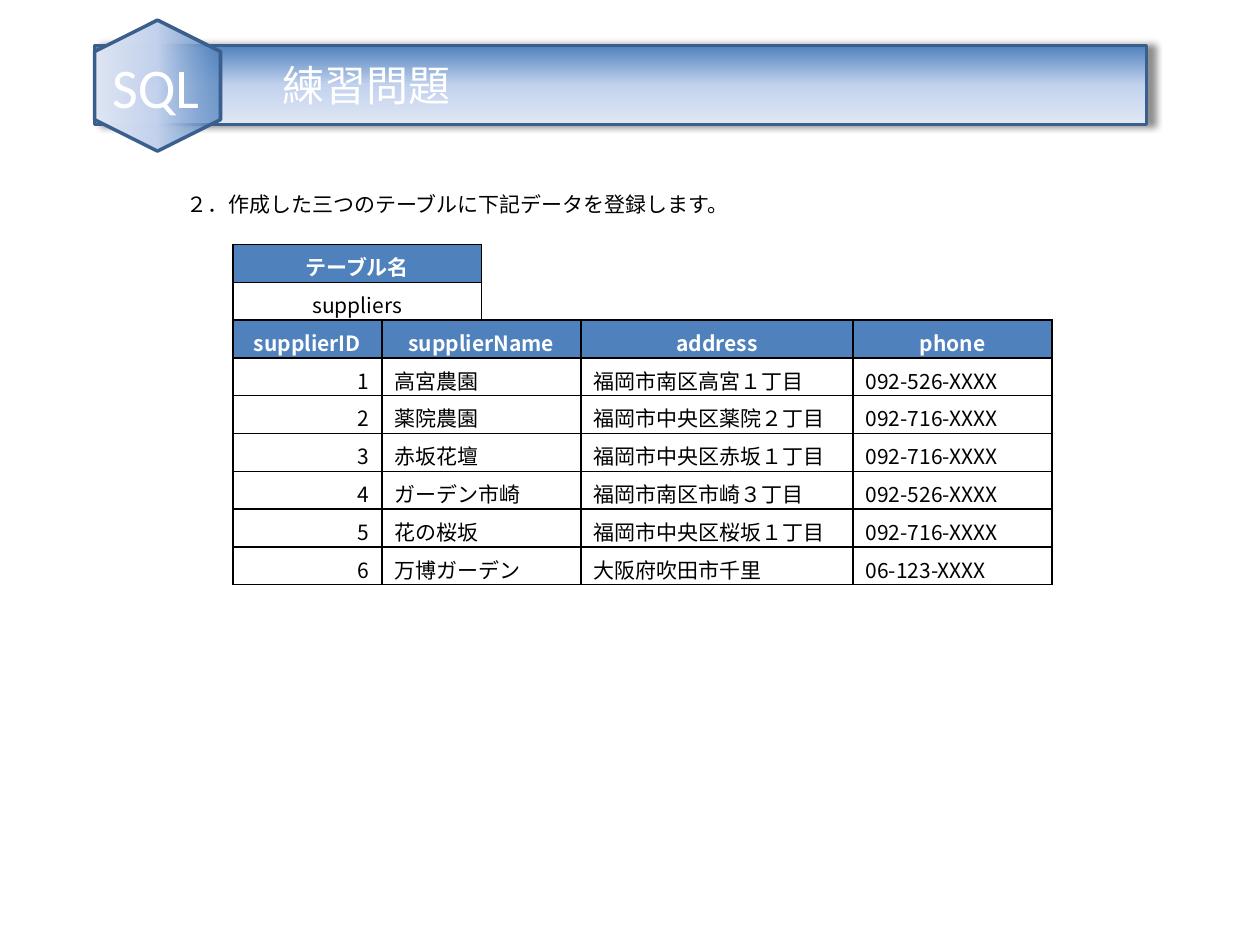
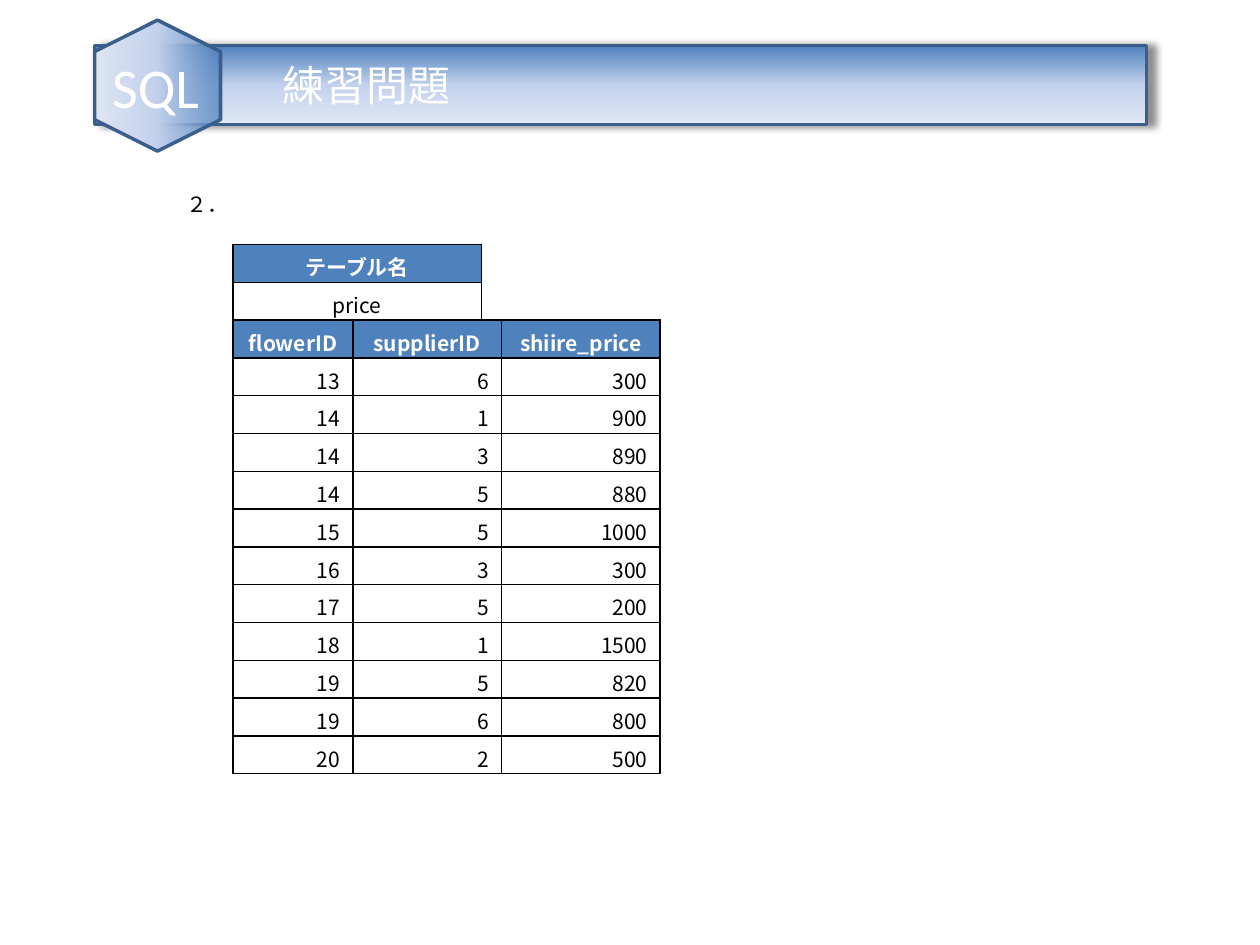
from pptx import Presentation
from pptx.dml.color import RGBColor
from pptx.enum.shapes import MSO_SHAPE
from pptx.enum.text import MSO_ANCHOR, MSO_AUTO_SIZE, PP_ALIGN
from pptx.oxml import parse_xml
from pptx.oxml.ns import nsdecls
from pptx.util import Inches, Pt

TITLE = "練習問題"
BADGE = "SQL"
NAME_HEADING = "テーブル名"
EXERCISES = [
    {
        "prompt": "２．作成した三つのテーブルに下記データを登録します。",
        "prompt_width": 4.58,
        "table": "suppliers",
        "columns": [("supplierID", 1.18), ("supplierName", 1.58),
                    ("address", 2.16), ("phone", 1.58)],
        "rows": [
            ("1", "高宮農園", "福岡市南区高宮１丁目", "092-526-XXXX"),
            ("2", "薬院農園", "福岡市中央区薬院２丁目", "092-716-XXXX"),
            ("3", "赤坂花壇", "福岡市中央区赤坂１丁目", "092-716-XXXX"),
            ("4", "ガーデン市崎", "福岡市南区市崎３丁目", "092-526-XXXX"),
            ("5", "花の桜坂", "福岡市中央区桜坂１丁目", "092-716-XXXX"),
            ("6", "万博ガーデン", "大阪府吹田市千里", "06-123-XXXX"),
        ],
    },
    {
        "prompt": "２．",
        "prompt_width": 0.54,
        "table": "price",
        "columns": [("flowerID", 0.95), ("supplierID", 1.18), ("shiire_price", 1.26)],
        "rows": [
            ("13", "6", "300"), ("14", "1", "900"), ("14", "3", "890"),
            ("14", "5", "880"), ("15", "5", "1000"), ("16", "3", "300"),
            ("17", "5", "200"), ("18", "1", "1500"), ("19", "5", "820"),
            ("19", "6", "800"), ("20", "2", "500"),
        ],
    },
]

BLUE = RGBColor(0x4F, 0x81, 0xBD)
MID_BLUE = RGBColor(0xC2, 0xD1, 0xED)
PALE_BLUE = RGBColor(0xE1, 0xE8, 0xF5)
OUTLINE = RGBColor(0x3A, 0x5F, 0x8C)
WHITE = RGBColor(0xFF, 0xFF, 0xFF)
BLACK = RGBColor(0, 0, 0)
BODY_FONT = "Noto Sans CJK JP"

TABLE_LEFT, TABLE_TOP = 1.85, 1.94
NAME_WIDTH, ROW_HEIGHT = 1.97, 0.3


def set_attributes(target, values):
    """Set each named attribute of the target."""
    for name, value in values.items():
        setattr(target, name, value)


def write(frame, text, size, color, font=BODY_FONT, bold=False, **paragraph_format):
    """Write one formatted line into a text frame."""
    para = frame.paragraphs[0]
    set_attributes(para, paragraph_format)
    span = para.add_run()
    span.text = text
    set_attributes(span.font, {"size": Pt(size), "name": font, "bold": bold})
    span.font.color.rgb = color
    span.font._element.append(
        parse_xml(f'<a:ea {nsdecls("a")} typeface="{BODY_FONT}"/>'))


def paint_gradient(shape, first_alpha=100):
    """Give a shape the blue gradient and the dark outline."""
    stops = "".join(
        f'<a:gs pos="{position * 1000}"><a:srgbClr val="{color}">'
        f'<a:alpha val="{alpha * 1000}"/></a:srgbClr></a:gs>'
        for position, color, alpha in
        ((0, BLUE, first_alpha), (50, MID_BLUE, 100), (100, PALE_BLUE, 100)))
    shape.fill.background()
    properties = shape._element.spPr
    no_fill = properties.find("{*}noFill")
    properties.replace(no_fill, parse_xml(
        f'<a:gradFill {nsdecls("a")} rotWithShape="1"><a:gsLst>{stops}</a:gsLst>'
        '<a:lin ang="5400000" scaled="0"/></a:gradFill>'))
    shape.line.color.rgb = OUTLINE
    shape.line.width = Pt(2)


def add_header(page):
    """Turn the title into the band and put the badge on its left end."""
    band = page.shapes.title
    set_attributes(band, {"left": Inches(0.75), "top": Inches(0.36),
                          "width": Inches(8.35), "height": Inches(0.63)})
    properties = band._element.spPr
    properties.append(parse_xml(
        f'<a:prstGeom {nsdecls("a")} prst="roundRect"><a:avLst/></a:prstGeom>'))
    paint_gradient(band)
    properties.append(parse_xml(
        f'<a:effectLst {nsdecls("a")}><a:outerShdw blurRad="{Pt(4)}" dist="{Pt(4)}" '
        'dir="0" algn="l" rotWithShape="0"><a:srgbClr val="000000">'
        '<a:alpha val="43000"/></a:srgbClr></a:outerShdw></a:effectLst>'))
    set_attributes(band.text_frame, {
        "margin_left": Inches(1.49), "vertical_anchor": MSO_ANCHOR.MIDDLE,
        "auto_size": MSO_AUTO_SIZE.NONE, "word_wrap": True})
    write(band.text_frame, TITLE, 24, WHITE, "Arial", alignment=PP_ALIGN.LEFT)

    hexagon = page.shapes.add_shape(
        MSO_SHAPE.HEXAGON, Inches(0.73), Inches(0.18), Inches(1.04), Inches(1))
    hexagon.rotation = 90
    hexagon.shadow.inherit = False
    paint_gradient(hexagon, 74)

    badge = page.shapes.add_textbox(Inches(0.75), Inches(0.41), Inches(0.97), Inches(0.54))
    set_attributes(badge.text_frame, {
        "margin_left": 0, "margin_right": 0, "margin_top": 0, "margin_bottom": 0,
        "vertical_anchor": MSO_ANCHOR.MIDDLE, "word_wrap": True,
        "auto_size": MSO_AUTO_SIZE.SHAPE_TO_FIT_TEXT})
    write(badge.text_frame, BADGE, 32, WHITE, "Calibri", alignment=PP_ALIGN.CENTER)


def fill_cell(cell, text, is_heading):
    """Format one bordered cell as a heading or a value."""
    properties = cell._tc.get_or_add_tcPr()
    for side in "LRTB":
        properties.append(parse_xml(
            f'<a:ln{side} {nsdecls("a")} w="{Pt(1)}"><a:solidFill>'
            f'<a:srgbClr val="{BLACK}"/></a:solidFill></a:ln{side}>'))
    cell.fill.solid()
    cell.fill.fore_color.rgb = BLUE if is_heading else WHITE
    set_attributes(cell, {"vertical_anchor": MSO_ANCHOR.MIDDLE,
                          "margin_top": Inches(0.05), "margin_bottom": 0})
    write(cell.text_frame, text, 12, WHITE if is_heading else BLACK, bold=is_heading)


def add_grid(page, top, widths, rows, value_alignment=None):
    """Add a table whose first row is its heading."""
    frame = page.shapes.add_table(
        len(rows), len(widths), Inches(TABLE_LEFT), Inches(top),
        Inches(sum(widths)), Inches(ROW_HEIGHT * len(rows)))
    grid = frame.table
    grid.horz_banding = False
    for column, width in zip(grid.columns, widths):
        column.width = Inches(width)
    for row_index, row in enumerate(rows):
        grid.rows[row_index].height = Inches(ROW_HEIGHT)
        for column_index, text in enumerate(row):
            cell = grid.cell(row_index, column_index)
            is_heading = row_index == 0
            fill_cell(cell, text, is_heading)
            by_content = PP_ALIGN.RIGHT if text.isdigit() else PP_ALIGN.LEFT
            cell.text_frame.paragraphs[0].alignment = (
                PP_ALIGN.CENTER if is_heading else value_alignment or by_content)


def add_exercise(deck, exercise):
    """Add one exercise page with its prompt and tables."""
    page = deck.slides.add_slide(deck.slide_layouts[5])
    add_header(page)
    prompt = page.shapes.add_textbox(
        Inches(1.38), Inches(1.47), Inches(exercise["prompt_width"]), Inches(0.3))
    set_attributes(prompt.text_frame, {
        "word_wrap": False, "auto_size": MSO_AUTO_SIZE.SHAPE_TO_FIT_TEXT})
    write(prompt.text_frame, exercise["prompt"], 12, BLACK, space_before=Pt(6))
    add_grid(page, TABLE_TOP, [NAME_WIDTH],
             [(NAME_HEADING,), (exercise["table"],)], PP_ALIGN.CENTER)
    headings, widths = zip(*exercise["columns"])
    add_grid(page, TABLE_TOP + 2 * ROW_HEIGHT, widths, [headings, *exercise["rows"]])


def main():
    """Build and save the deck."""
    deck = Presentation()
    set_attributes(deck, {"slide_width": Inches(10), "slide_height": Inches(7.5)})
    for exercise in EXERCISES:
        add_exercise(deck, exercise)
    deck.save("out.pptx")


if __name__ == "__main__":
    main()
